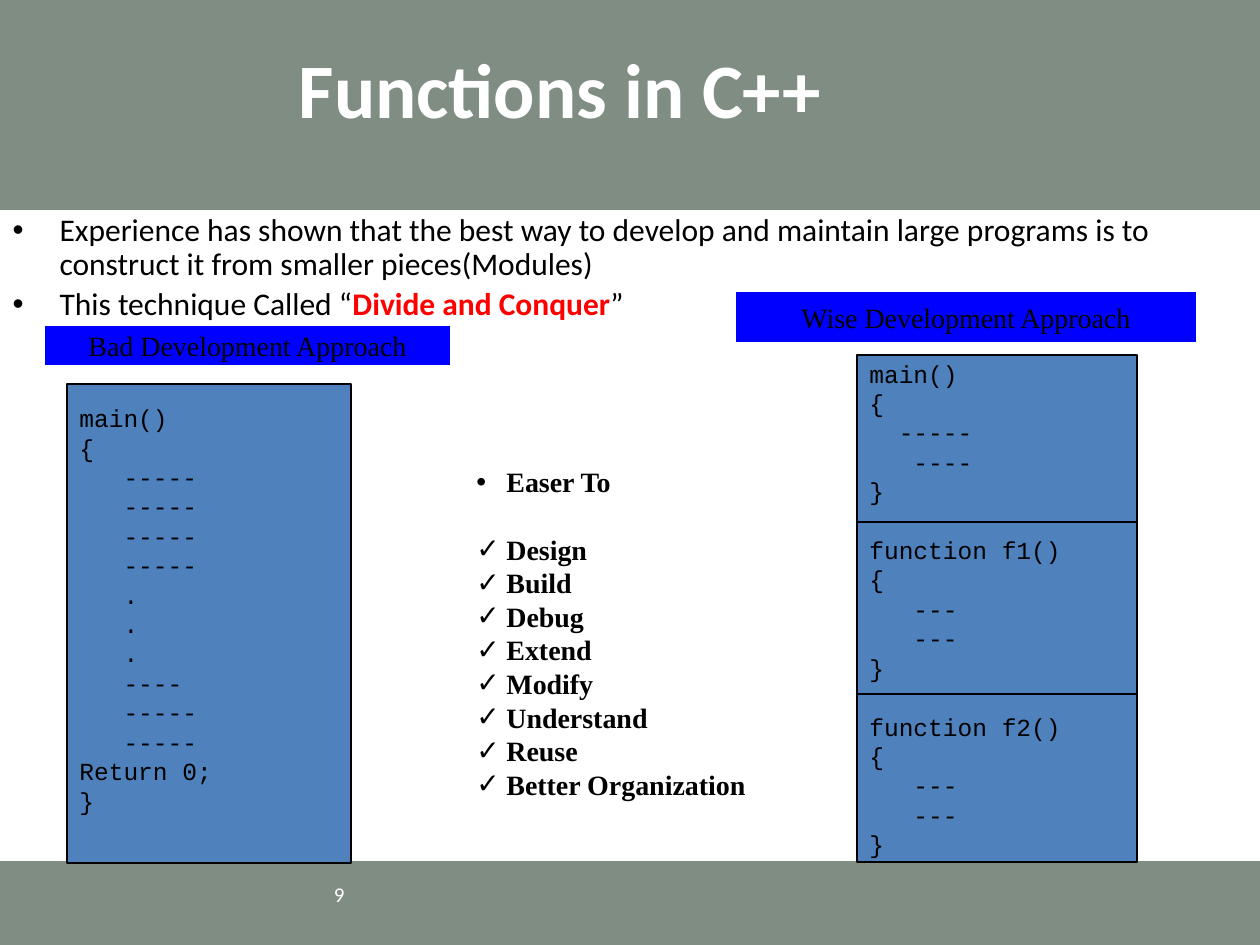
from lxml.etree import SubElement
from pptx import Presentation
from pptx.dml.color import RGBColor
from pptx.enum.shapes import MSO_CONNECTOR as Connector, MSO_SHAPE as Shape
from pptx.enum.text import MSO_ANCHOR as Anchor, MSO_AUTO_SIZE as AutoSize, PP_ALIGN as Align
from pptx.oxml.ns import qn
from pptx.util import Pt

EMU_PER_PX = 914400 / 126
BAND, PANEL, BANNER = "808D83", "4F81BD", "0000FF"
BLACK, WHITE, RED = "000000", "FFFFFF", "FF0000"
TITLE = {"name": "Calibri", "size": Pt(44), "bold": True}
BODY = {"name": "Calibri", "size": Pt(18)}
NUMBER = {"name": "Calibri", "size": Pt(12)}
CODE = {"name": "Courier New", "size": Pt(14)}
SERIF = {"name": "Times New Roman", "size": Pt(16)}
CODE_LINE, SERIF_LINE = Pt(16.8), Pt(19.2)

BAD_CODE = (["main()", "{"] + ["   -----"] * 4 + ["   ."] * 3
            + ["   ----", "   -----", "   -----", "Return 0;", "}"])
WISE_BLOCKS = [
    ["main()", "{", "  -----", "   ----", "}"],
    ["function f1()", "{", "   ---", "   ---", "}"],
    ["function f2()", "{", "   ---", "   ---", "}"],
]
BENEFITS = ["Design", "Build", "Debug", "Extend", "Modify",
            "Understand", "Reuse", "Better Organization"]


def px(length):
    return round(length * EMU_PER_PX)


def rgb(value):
    return RGBColor.from_string(value)


def assign(target, values):
    for key, value in values.items():
        setattr(target, key, value)


def place(part, box):
    assign(part, dict(zip(("left", "top", "width", "height"), map(px, box))))


def style(font, values, color):
    assign(font, values)
    font.color.rgb = rgb(color)


def bullet(paragraph, char, indent):
    properties = paragraph._p.get_or_add_pPr()
    properties.set("marL", str(px(indent)))
    properties.set("indent", str(-px(indent)))
    SubElement(properties, qn("a:buFont"), typeface="Arial")
    SubElement(properties, qn("a:buChar"), char=char)


def paragraphs(frame, count):
    return [frame.paragraphs[0]] + [frame.add_paragraph() for _ in range(count - 1)]


def rectangle(slide, box, fill, line=None):
    rect = slide.shapes.add_shape(Shape.RECTANGLE, *map(px, box))
    rect.shadow.inherit = False
    rect.fill.solid()
    rect.fill.fore_color.rgb = rgb(fill)
    if line:
        rect.line.color.rgb = rgb(line)
        rect.line.width = Pt(0.75)
    else:
        rect.line.fill.background()
    assign(rect.text_frame, {"vertical_anchor": Anchor.MIDDLE, "word_wrap": False})
    return rect


def bands(slide):
    for order, box in enumerate([(0, 0, 1260, 210), (0, 861, 1260, 84)]):
        band = rectangle(slide, box, BAND)
        slide.shapes._spTree.insert(2 + order, band._element)


def heading(slide, box):
    title = slide.shapes.title
    place(title, box)
    frame = title.text_frame
    frame.text = "Functions in C++"
    assign(frame, {"vertical_anchor": Anchor.MIDDLE, "auto_size": AutoSize.NONE,
                   "margin_left": px(204)})
    frame.paragraphs[0].alignment = Align.LEFT
    style(frame.paragraphs[0].runs[0].font, TITLE, WHITE)


def introduction(slide, box):
    body = slide.placeholders[1]
    place(body, box)
    frame = body.text_frame
    frame.auto_size = AutoSize.NONE
    points = [
        [("Experience has shown that the best way to develop and maintain large "
          "programs is to construct it from smaller pieces(Modules)", BLACK, False)],
        [("This technique Called “", BLACK, False),
         ("Divide and Conquer", RED, True), ("”", BLACK, False)],
    ]
    for order, (paragraph, pieces) in enumerate(zip(paragraphs(frame, len(points)), points)):
        bullet(paragraph, "•", 47)
        assign(paragraph, {"line_spacing": 0.9, "space_before": Pt(3.6 * order)})
        for text, color, bold in pieces:
            run = paragraph.add_run()
            run.text = text
            style(run.font, {**BODY, "bold": bold}, color)


def banner(slide, box, text):
    frame = rectangle(slide, box, BANNER, WHITE).text_frame
    frame.text = text
    frame.paragraphs[0].alignment = Align.CENTER
    style(frame.paragraphs[0].font, SERIF, BLACK)


def code_panel(slide, box, blocks, bottom_margin):
    frame = rectangle(slide, box, PANEL, BLACK).text_frame
    assign(frame, {"word_wrap": True, "margin_bottom": px(bottom_margin)})
    lines = [(text, block > 0 and row == 0)
             for block, rows in enumerate(blocks) for row, text in enumerate(rows)]
    for paragraph, (text, starts_block) in zip(paragraphs(frame, len(lines)), lines):
        paragraph.text = text
        assign(paragraph, {"alignment": Align.LEFT, "line_spacing": CODE_LINE,
                           "space_before": CODE_LINE if starts_block else Pt(0)})
        style(paragraph.font, CODE, BLACK)


def divider(slide, left, right, y):
    line = slide.shapes.add_connector(Connector.STRAIGHT, px(right), px(y), px(left), px(y))
    line.line.color.rgb = rgb(BLACK)
    line.line.width = Pt(0.75)
    SubElement(line._element.spPr, qn("a:effectLst"))


def bad_approach(slide, left, top):
    code_panel(slide, (left + 23, top + 59, 284, 479), [BAD_CODE], 35)
    banner(slide, (left, top, 407, 41), "Bad Development Approach")


def wise_approach(slide, left, top):
    banner(slide, (left, top, 462, 52), "Wise Development Approach")
    panel_left, panel_width = left + 122, 280
    code_panel(slide, (panel_left, top + 64, panel_width, 507), WISE_BLOCKS, 6)
    for offset in (231, 403):
        divider(slide, panel_left, panel_left + panel_width, top + offset)


def benefits(slide, box):
    frame = rectangle(slide, box, WHITE, WHITE).text_frame
    items = [("•", "Easer To")] + [("✓", text) for text in BENEFITS]
    for order, (paragraph, (mark, text)) in enumerate(zip(paragraphs(frame, len(items)), items)):
        bullet(paragraph, mark, 30)
        paragraph.text = text
        assign(paragraph, {"alignment": Align.LEFT, "line_spacing": SERIF_LINE,
                           "space_before": SERIF_LINE if order == 1 else Pt(0)})
        style(paragraph.font, {**SERIF, "bold": True}, BLACK)


def page_number(slide, box):
    frame = slide.shapes.add_textbox(*map(px, box)).text_frame
    assign(frame, {"word_wrap": True, "vertical_anchor": Anchor.MIDDLE})
    frame.text = "9"
    frame.paragraphs[0].alignment = Align.RIGHT
    style(frame.paragraphs[0].font, NUMBER, WHITE)


def main():
    deck = Presentation()
    assign(deck, {"slide_width": px(1260), "slide_height": px(945)})
    slide = deck.slides.add_slide(deck.slide_layouts[1])
    bands(slide)
    heading(slide, (95, 30, 1071, 115))
    introduction(slide, (0, 208, 1229, 149))
    bad_approach(slide, 44, 325)
    benefits(slide, (464, 444, 273, 378))
    wise_approach(slide, 735, 291)
    page_number(slide, (63, 861, 294, 66))
    deck.save("out.pptx")


if __name__ == "__main__":
    main()
